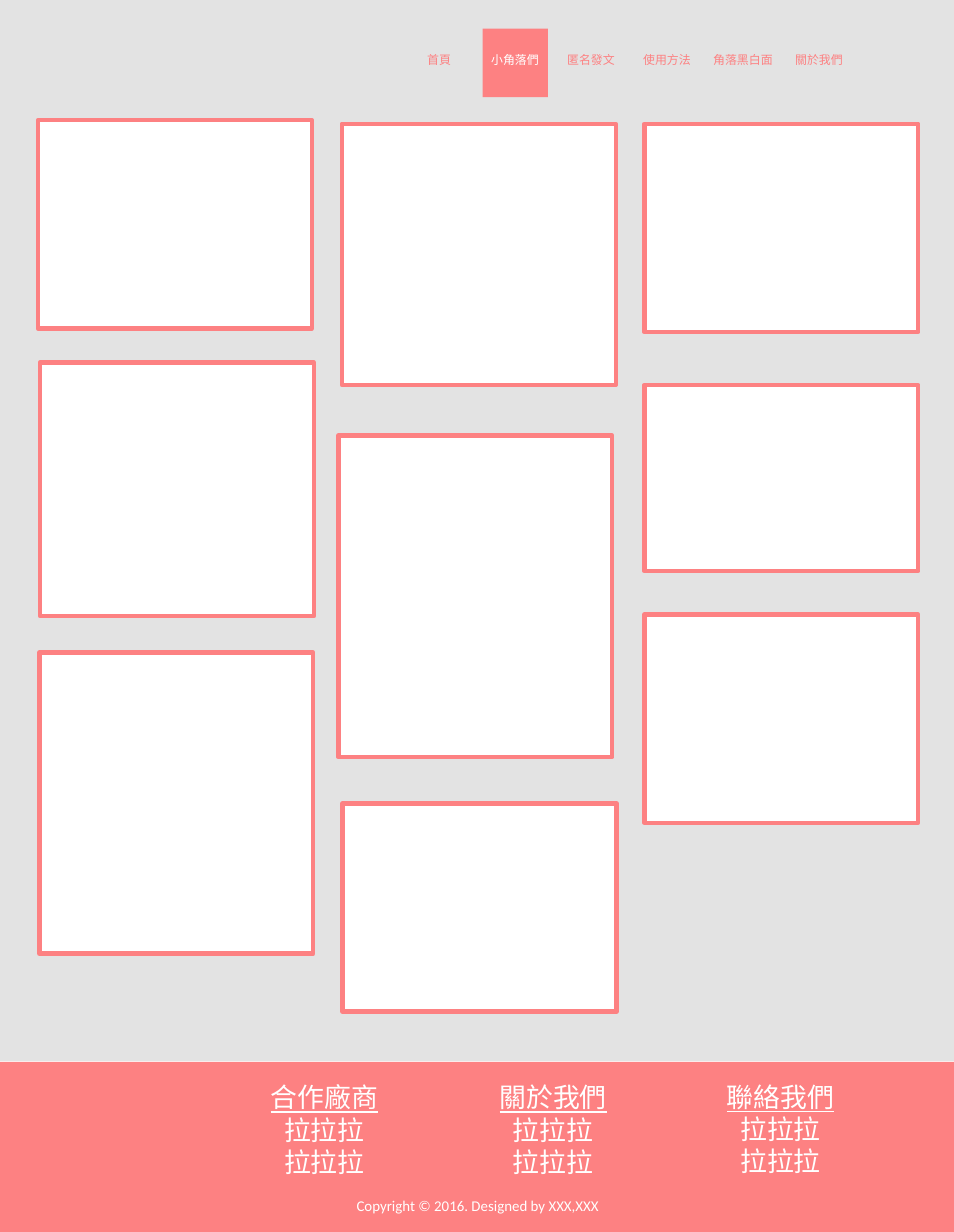
"""Build a gallery web page mock-up with a menu, framed cards and a footer."""
from dataclasses import dataclass

from pptx import Presentation
from pptx import util as u
from pptx.dml.color import RGBColor
from pptx.enum import shapes, text


@dataclass(frozen=True)
class Theme:
    font: str = "Calibri"
    coral: str = "FD8182"
    grey: str = "E3E3E3"
    white: str = "FFFFFF"
    menu_size: float = 12
    credit_size: float = 15
    footer_size: float = 27
    frame_width: float = 4.5


def write(para, words, *, font, size, color, underline=False):
    para.alignment = text.PP_ALIGN.CENTER
    span = para.add_run()
    span.text = words
    span.font.name = font
    span.font.size = u.Pt(size)
    span.font.color.rgb = RGBColor.from_string(color)
    span.font.underline = underline


class PageBuilder:
    def __init__(self, page, theme):
        self.page = page
        self.theme = theme

    def panel(self, left, top, width, height, fill, line=None):
        box = self.page.shapes.add_shape(
            shapes.MSO_SHAPE.RECTANGLE, *map(u.Pt, (left, top, width, height)))
        box.shadow.inherit = False
        box.fill.solid()
        box.fill.fore_color.rgb = RGBColor.from_string(fill)
        if line:
            box.line.color.rgb = RGBColor.from_string(line)
            box.line.width = u.Pt(self.theme.frame_width)
        else:
            box.line.fill.background()

    def card(self, left, top, height):
        self.panel(left, top, CARD_WIDTH, height, self.theme.white, self.theme.coral)

    def label(self, left, top, width, height, lines, size, color, heading=False):
        box = self.page.shapes.add_textbox(*map(u.Pt, (left, top, width, height)))
        frame = box.text_frame
        frame.word_wrap = True
        frame.auto_size = text.MSO_AUTO_SIZE.SHAPE_TO_FIT_TEXT
        for index, words in enumerate(lines):
            para = frame.add_paragraph() if index else frame.paragraphs[0]
            write(para, words, font=self.theme.font, size=size, color=color,
                  underline=heading and index == 0)


PAGE_WIDTH, PAGE_HEIGHT = 960.5, 1239.8
CARD_WIDTH = 275.8
CARDS = [
    (38.2, 121, 209.5), (40.3, 365, 254.9), (39.6, 656.6, 303.1),
    (344.2, 124.6, 262.8), (340.6, 438.5, 323.3), (344.9, 808.6, 209.5),
    (648.7, 124.6, 209.5), (648.7, 387.4, 187.2), (648.7, 618.5, 209.5),
]
MENU = ["首頁", "小角落們", "匿名發文", "使用方法", "角落黑白面", "關於我們"]
CURRENT = "小角落們"
MENU_LEFT, MENU_STEP = 403.9, 76.5
FOOTER_TOP = 1068.5
FOOTER = [
    (263.5, 1084.3, "合作廠商"),
    (493.9, 1084.3, "關於我們"),
    (722.9, 1083.6, "聯絡我們"),
]


def main():
    theme = Theme()
    deck = Presentation()
    deck.slide_width, deck.slide_height = u.Pt(PAGE_WIDTH), u.Pt(PAGE_HEIGHT)
    builder = PageBuilder(deck.slides.add_slide(deck.slide_layouts[6]), theme)

    builder.panel(-2.9, 0, 963.4, 1067.8, theme.grey)
    builder.panel(486, 28.8, 65.5, 69.1, theme.coral)
    builder.panel(0, FOOTER_TOP, PAGE_WIDTH, PAGE_HEIGHT - FOOTER_TOP, theme.coral)

    for left, top, height in CARDS:
        builder.card(left, top, height)

    for index, item in enumerate(MENU):
        color = theme.white if item == CURRENT else theme.coral
        builder.label(MENU_LEFT + index * MENU_STEP, 49, 76.3, 21.6,
                      [item], theme.menu_size, color)

    for left, top, heading in FOOTER:
        builder.label(left, top, 126, 105.1, [heading, "拉拉拉", "拉拉拉"],
                      theme.footer_size, theme.white, heading=True)

    builder.label(265, 1201, 432, 25.2, ["Copyright © 2016. Designed by XXX,XXX"],
                  theme.credit_size, theme.white)

    deck.save("out.pptx")


if __name__ == "__main__":
    main()
